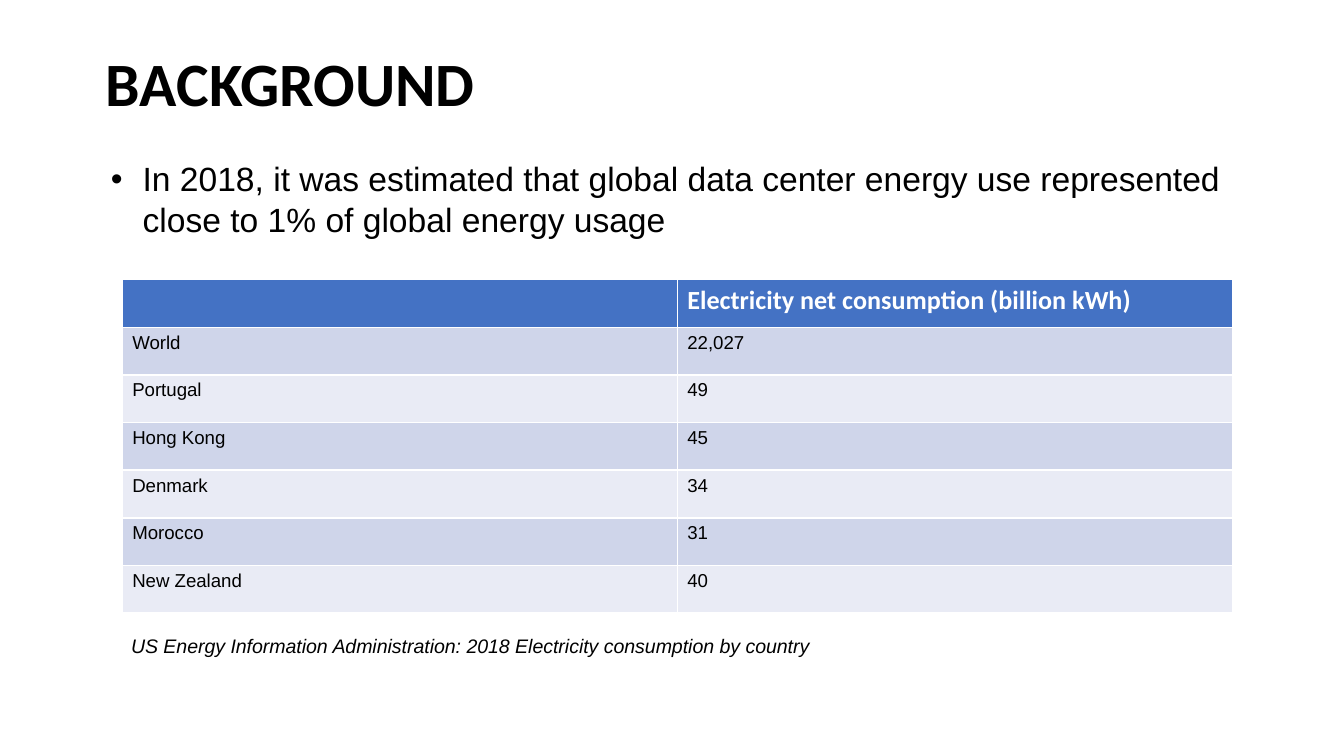
import pptx
import pptx.util
import pptx.dml.color
import pptx.enum.text
import pptx.oxml
import pptx.oxml.ns
import lxml.etree

deck = pptx.Presentation()
deck.slide_width = pptx.util.Inches(10)
deck.slide_height = deck.slide_width * 9 // 16
WIDTH, HEIGHT = deck.slide_width, deck.slide_height
page = deck.slides.add_slide(deck.slide_layouts[5])


def style(para, size, name, colour, bold=False, italic=False):
    for span in para.runs:
        span.font.size = pptx.util.Pt(size)
        span.font.name = name
        span.font.bold = bold
        span.font.italic = italic
        span.font.color.rgb = pptx.dml.color.RGBColor.from_string(colour)


def set_margins(target):
    target.margin_left = target.margin_right = pptx.util.Pt(5.4)
    target.margin_top = target.margin_bottom = pptx.util.Pt(2.7)


title = page.shapes.title
title.left, title.top = int(WIDTH * 0.0688), int(HEIGHT * 0.0533)
title.width, title.height = int(WIDTH * 0.8625), int(HEIGHT * 0.121)
title.text_frame.text = "BACKGROUND"
title.text_frame.vertical_anchor = pptx.enum.text.MSO_ANCHOR.MIDDLE
heading = title.text_frame.paragraphs[0]
heading.alignment = pptx.enum.text.PP_ALIGN.LEFT
heading.line_spacing = 0.9
style(heading, 33, "Calibri", "000000", bold=True)

notes = [
    ("US Energy Information Administration: 2018 Electricity consumption by country",
     0.09, 0.832, 0.699, 0.0445, 10.5, True),
    ("In 2018, it was estimated that global data center energy use represented "
     "close to 1% of global energy usage",
     0.075, 0.2027, 0.8625, 0.121, 18, False),
]
for text, left, top, width, height, size, is_source in notes:
    box = page.shapes.add_textbox(int(WIDTH * left), int(HEIGHT * top),
                                  int(WIDTH * width), int(HEIGHT * height))
    box.text_frame.word_wrap = True
    set_margins(box.text_frame)
    box.text_frame.text = text
    para = box.text_frame.paragraphs[0]
    style(para, size, "Arial", "000000", italic=is_source)
    if not is_source:
        properties = para._p.get_or_add_pPr()
        indent = pptx.util.Pt(17)
        properties.set("marL", str(indent))
        properties.set("indent", str(-indent))
        bullet_font = lxml.etree.SubElement(properties, pptx.oxml.ns.qn("a:buFont"))
        bullet_font.set("typeface", "Arial")
        bullet = lxml.etree.SubElement(properties, pptx.oxml.ns.qn("a:buChar"))
        bullet.set("char", "•")

rows = [
    ("", "Electricity net consumption (billion kWh)"),
    ("World", "22,027"),
    ("Portugal", "49"),
    ("Hong Kong", "45"),
    ("Denmark", "34"),
    ("Morocco", "31"),
    ("New Zealand", "40"),
]
table = page.shapes.add_table(len(rows), 2, int(WIDTH * 0.091), int(HEIGHT * 0.37),
                              int(WIDTH * 0.826), int(HEIGHT * 0.441)).table
for row, values in enumerate(rows):
    for column, value in enumerate(values):
        cell = table.cell(row, column)
        set_margins(cell)
        fill = "4472C4" if row == 0 else ("E9EBF5", "CFD5EA")[row % 2]
        cell.fill.solid()
        cell.fill.fore_color.rgb = pptx.dml.color.RGBColor.from_string(fill)
        para = cell.text_frame.paragraphs[0]
        if not value:
            ending = lxml.etree.SubElement(para._p, pptx.oxml.ns.qn("a:endParaRPr"))
            ending.set("sz", "1400")
            continue
        para.text = value
        if row == 0:
            style(para, 14, "Calibri", "FFFFFF", bold=True)
        else:
            style(para, 10, "Arial", "000000")

deck.save("out.pptx")
